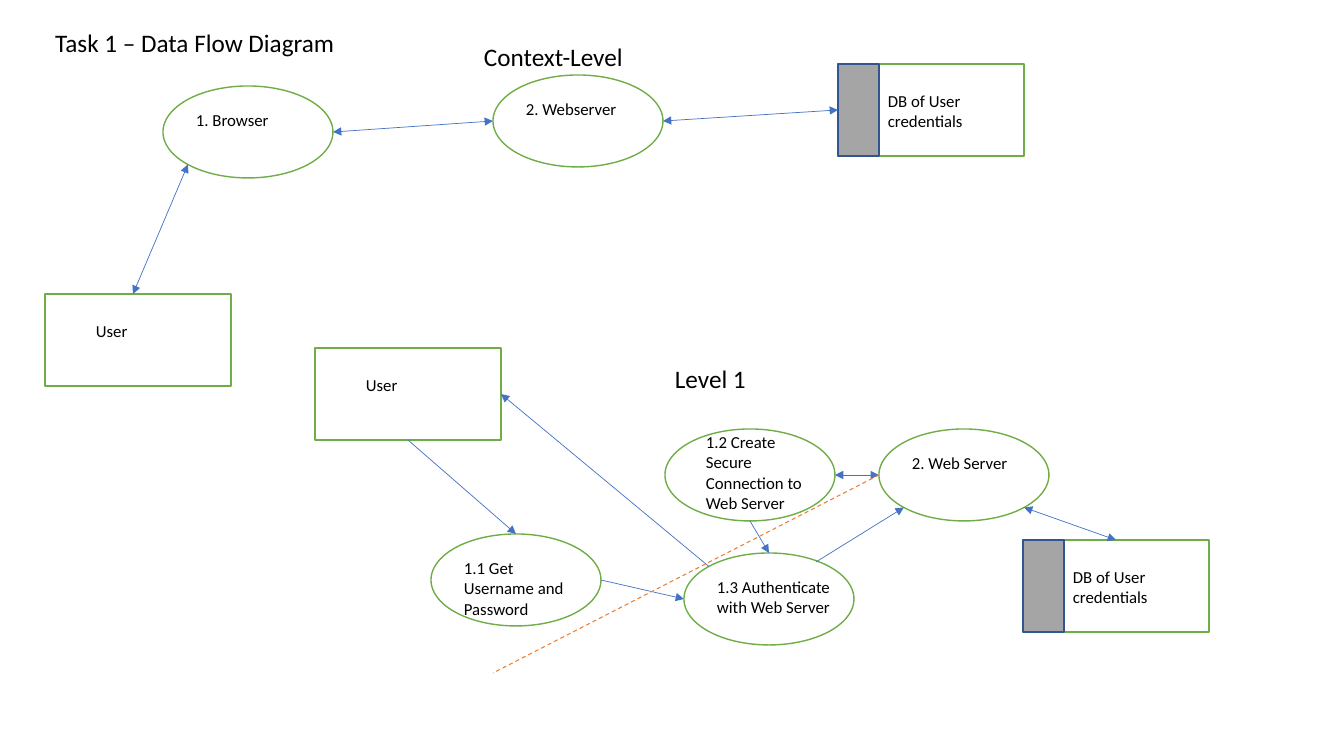
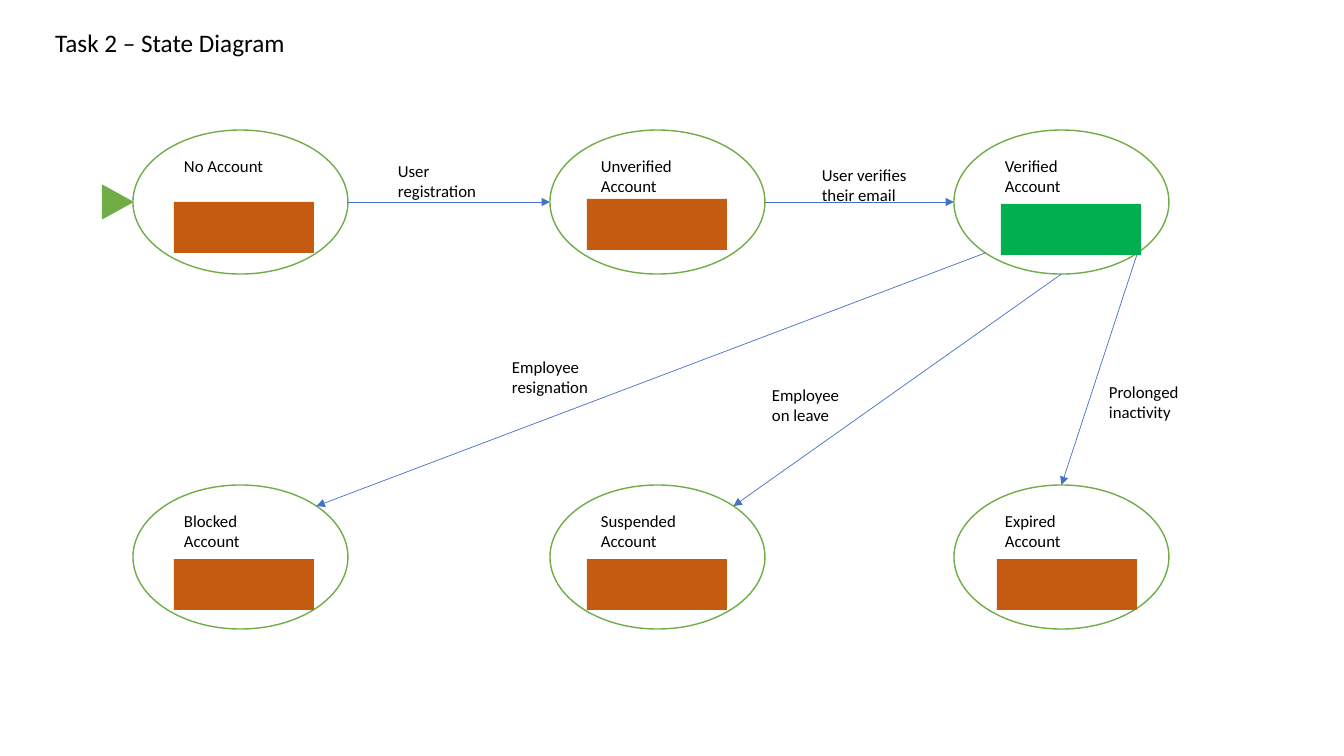
import math
from dataclasses import dataclass
from enum import Enum
from typing import Optional, Union

import lxml.etree
import pptx
import pptx.dml.color
import pptx.enum.dml
import pptx.enum.shapes
import pptx.enum.text
import pptx.oxml.ns
import pptx.util

EMU_PER_PIXEL = 914400 / 100.8
Preset = pptx.enum.shapes.MSO_SHAPE
Point = tuple[float, float]


@dataclass(frozen=True)
class Theme:
    font: str = "Calibri"
    title_size: int = 18
    label_size: int = 12
    outline_width: float = 1
    arrow_width: float = 0.5
    boundary_width: float = 0.75
    text: str = "000000"
    paper: str = "FFFFFF"
    green: str = "70AD47"
    arrow: str = "4472C4"
    boundary: str = "ED7D31"
    store: str = "A5A5A5"
    store_outline: str = "325491"
    inactive: str = "C55A11"
    active: str = "00B050"


THEME = Theme()
DIAGONAL = math.sqrt(0.5)


class Site(Enum):
    TOP = (0, -1)
    BOTTOM = (0, 1)
    LEFT = (-1, 0)
    RIGHT = (1, 0)
    TOP_LEFT = (-DIAGONAL, -DIAGONAL)
    TOP_RIGHT = (DIAGONAL, -DIAGONAL)
    BOTTOM_LEFT = (-DIAGONAL, DIAGONAL)
    BOTTOM_RIGHT = (DIAGONAL, DIAGONAL)


@dataclass(frozen=True)
class Frame:
    left: int
    top: int
    width: int
    height: int

    def at(self, site: Site) -> Point:
        across, down = site.value
        return (self.left + self.width * (1 + across) / 2,
                self.top + self.height * (1 + down) / 2)


@dataclass(frozen=True)
class Kind:
    preset: Preset
    width: int
    height: int
    label_left: int
    label_top: int
    label_width: int
    strip_width: int = 0


PROCESS = Kind(Preset.OVAL, 170, 92, 23, 19, 129)
ENTITY = Kind(Preset.RECTANGLE, 186, 92, 41, 22, 129)
STORE = Kind(Preset.RECTANGLE, 186, 92, 40, 22, 129, 41)
STATE = Kind(Preset.OVAL, 215, 144, 41, 21, 126)
SECURE = Kind(Preset.OVAL, 170, 92, 31, -2, 129)
AUTHENTICATE = Kind(Preset.OVAL, 170, 92, 23, 19, 147)


@dataclass(frozen=True)
class Node:
    kind: Kind
    text: str
    left: int
    top: int
    lines: int = 1

    @property
    def frame(self) -> Frame:
        return Frame(self.left, self.top, self.kind.width, self.kind.height)

    def at(self, site: Site) -> Point:
        return self.frame.at(site)


@dataclass(frozen=True)
class Arrow:
    start: Point
    end: Point
    both_ways: bool = False


@dataclass(frozen=True)
class Caption:
    text: str
    left: int
    top: int


def emu(pixels: float) -> pptx.util.Emu:
    return pptx.util.Emu(round(pixels * EMU_PER_PIXEL))


def color(value: str) -> pptx.dml.color.RGBColor:
    return pptx.dml.color.RGBColor.from_string(value)


def measures(frame: Frame) -> tuple:
    return emu(frame.left), emu(frame.top), emu(frame.width), emu(frame.height)


def write(box, text: str, size: int) -> None:
    text_frame = box.text_frame
    text_frame.text = text
    text_frame.word_wrap = True
    text_frame.auto_size = pptx.enum.text.MSO_AUTO_SIZE.SHAPE_TO_FIT_TEXT
    text_frame.vertical_anchor = pptx.enum.text.MSO_ANCHOR.TOP
    for para in text_frame.paragraphs:
        para.alignment = pptx.enum.text.PP_ALIGN.LEFT
        for span in para.runs:
            span.font.name = THEME.font
            span.font.size = pptx.util.Pt(size)
            span.font.color.rgb = color(THEME.text)


def add_text(page, text: str, frame: Frame, size: int) -> None:
    write(page.shapes.add_textbox(*measures(frame)), text, size)


def add_page(deck, title: str):
    page = deck.slides.add_slide(deck.slide_layouts[5])
    box = page.shapes.title
    box.left, box.top, box.width, box.height = measures(Frame(45, 22, 493, 40))
    write(box, title, THEME.title_size)
    return page


def add_figure(page, preset: Preset, frame: Frame, fill: str,
               outline: Optional[str] = None):
    figure = page.shapes.add_shape(preset, *measures(frame))
    figure.shadow.inherit = False
    figure.fill.solid()
    figure.fill.fore_color.rgb = color(fill)
    if outline:
        figure.line.color.rgb = color(outline)
        figure.line.width = pptx.util.Pt(THEME.outline_width)
    else:
        figure.line.fill.background()
    return figure


def add_caption(page, caption: Caption, width: int, lines: int) -> None:
    frame = Frame(caption.left, caption.top, width, 10 + 20 * lines)
    add_text(page, caption.text, frame, THEME.label_size)


def add_node(page, node: Node) -> None:
    kind = node.kind
    add_figure(page, kind.preset, node.frame, THEME.paper, THEME.green)
    if kind.strip_width:
        strip = Frame(node.left, node.top, kind.strip_width, kind.height)
        add_figure(page, Preset.RECTANGLE, strip, THEME.store, THEME.store_outline)
    label = Caption(node.text, node.left + kind.label_left, node.top + kind.label_top)
    add_caption(page, label, kind.label_width, node.lines)


def add_line(page, start: Point, end: Point, stroke: str, width: float):
    line = page.shapes.add_connector(
        pptx.enum.shapes.MSO_CONNECTOR.STRAIGHT, *map(emu, (*start, *end)))
    line.line.color.rgb = color(stroke)
    line.line.width = pptx.util.Pt(width)
    lxml.etree.SubElement(line._element.spPr, pptx.oxml.ns.qn("a:effectLst"))
    return line


def add_arrow(page, arrow: Arrow) -> None:
    line = add_line(page, arrow.start, arrow.end, THEME.arrow, THEME.arrow_width)
    outline = line.line._get_or_add_ln()
    for end in ("a:headEnd", "a:tailEnd") if arrow.both_ways else ("a:tailEnd",):
        lxml.etree.SubElement(outline, pptx.oxml.ns.qn(end), type="triangle")


def add_all(page, items: list[Union[Node, Arrow]]) -> None:
    for item in items:
        if isinstance(item, Node):
            add_node(page, item)
        else:
            add_arrow(page, item)


def draw_data_flow(deck) -> None:
    page = add_page(deck, "Task 1 – Data Flow Diagram")
    browser = Node(PROCESS, "1. Browser", 163, 86)
    webserver = Node(PROCESS, "2. Webserver", 493, 75)
    database = Node(STORE, "DB of User credentials", 838, 64, 2)
    user = Node(ENTITY, "User", 45, 294)
    context = [
        browser, webserver, database, user,
        Arrow(webserver.at(Site.RIGHT), database.at(Site.LEFT), True),
        Arrow((133, 294), browser.at(Site.BOTTOM_LEFT), True),
        Arrow(browser.at(Site.RIGHT), webserver.at(Site.LEFT), True),
    ]
    visitor = Node(ENTITY, "User", 315, 348)
    username = Node(PROCESS, "1.1 Get Username and Password", 431, 534, 3)
    secure = Node(SECURE, "1.2 Create Secure Connection to Web Server", 665, 429, 4)
    authenticate = Node(AUTHENTICATE, "1.3 Authenticate with Web Server", 684, 553, 2)
    server = Node(PROCESS, "2. Web Server", 879, 429)
    credentials = Node(STORE, "DB of User credentials", 1023, 540, 2)
    level_one = [
        visitor, username, authenticate, server, credentials, secure,
        Arrow(visitor.at(Site.BOTTOM), username.at(Site.TOP)),
        Arrow(username.at(Site.RIGHT), authenticate.at(Site.LEFT)),
        Arrow((816, 562), server.at(Site.BOTTOM_LEFT)),
        Arrow(secure.at(Site.BOTTOM), authenticate.at(Site.TOP)),
        Arrow(secure.at(Site.RIGHT), server.at(Site.LEFT), True),
        Arrow(server.at(Site.BOTTOM_RIGHT), credentials.at(Site.TOP), True),
        Arrow(authenticate.at(Site.TOP_LEFT), visitor.at(Site.RIGHT)),
    ]
    add_all(page, context + level_one)
    boundary = add_line(page, server.at(Site.LEFT), (493, 673),
                        THEME.boundary, THEME.boundary_width)
    boundary.line.dash_style = pptx.enum.dml.MSO_LINE.DASH
    for heading in (Caption("Context-Level", 474, 36), Caption("Level 1", 665, 358)):
        frame = Frame(heading.left, heading.top, 257, 40)
        add_text(page, heading.text, frame, THEME.title_size)


def draw_states(deck) -> None:
    page = add_page(deck, "Task 2 – State Diagram")
    columns, rows = (133, 550, 954), (130, 485)
    names = (("No Account", "Unverified Account", "Verified Account"),
             ("Blocked Account", "Suspended Account", "Expired Account"))
    states = [Node(STATE, name, left, top, 1 if name == "No Account" else 2)
              for top, line in zip(rows, names) for left, name in zip(columns, line)]
    none, unverified, verified, blocked, suspended, expired = states
    start = add_figure(page, Preset.ISOSCELES_TRIANGLE, Frame(101, 187, 33, 30),
                       THEME.green, THEME.green)
    start.rotation = 90
    add_all(page, states + [
        Arrow(none.at(Site.RIGHT), unverified.at(Site.LEFT)),
        Arrow(unverified.at(Site.RIGHT), verified.at(Site.LEFT)),
        Arrow(verified.at(Site.BOTTOM_LEFT), blocked.at(Site.TOP_RIGHT)),
        Arrow(verified.at(Site.BOTTOM), suspended.at(Site.TOP_RIGHT)),
        Arrow(verified.at(Site.BOTTOM_RIGHT), expired.at(Site.TOP)),
    ])
    for caption in (
        Caption("User registration", 388, 156),
        Caption("User verifies their email", 812, 160),
        Caption("Employee resignation", 502, 352),
        Caption("Employee on leave", 762, 380),
        Caption("Prolonged inactivity", 1099, 377),
    ):
        add_caption(page, caption, 108, 2)
    badges = ((174, 202), (587, 199), (1001, 204), (174, 559), (587, 559), (997, 559))
    for state, (left, top) in zip(states, badges):
        fill = THEME.active if state is verified else THEME.inactive
        add_figure(page, Preset.RECTANGLE, Frame(left, top, 140, 51), fill)


def main() -> None:
    deck = pptx.Presentation()
    deck.slide_width, deck.slide_height = emu(1344), emu(756)
    draw_data_flow(deck)
    draw_states(deck)
    deck.save("out.pptx")


main()
